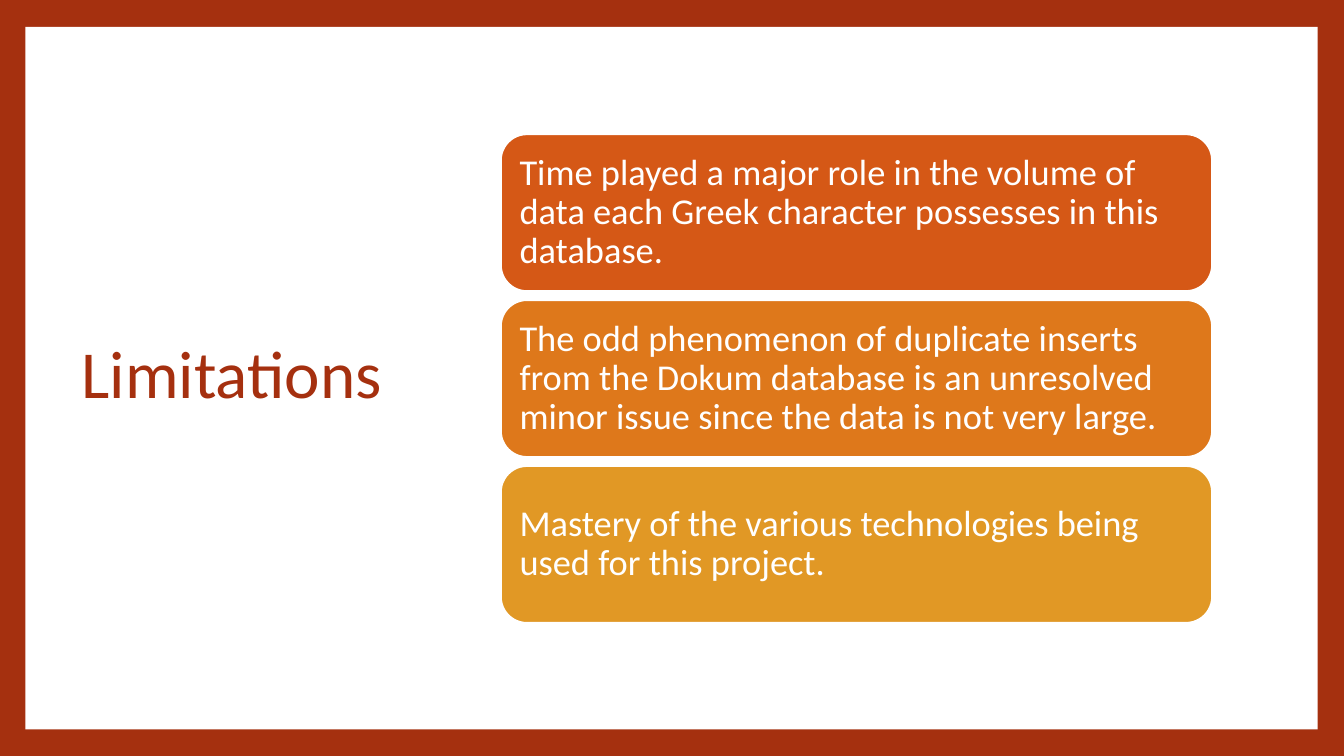
from dataclasses import dataclass

from pptx import Presentation
from pptx.dml.color import RGBColor
from pptx.enum.shapes import MSO_SHAPE
from pptx.enum.text import MSO_ANCHOR, MSO_AUTO_SIZE, PP_ALIGN
from pptx.util import Cm, Pt

RECTANGLE = MSO_SHAPE.RECTANGLE
ROUNDED = MSO_SHAPE.ROUNDED_RECTANGLE
MIDDLE = MSO_ANCHOR.MIDDLE
LEFT = PP_ALIGN.LEFT
NO_FIT = MSO_AUTO_SIZE.NONE
TITLE_ONLY = 5


@dataclass(frozen=True)
class Theme:
    font: str = "Calibri"
    rust: RGBColor = RGBColor.from_string("A5300F")
    white: RGBColor = RGBColor.from_string("FFFFFF")
    cards: tuple = tuple(map(RGBColor.from_string, ("D55816", "DE781B", "E19825")))
    title_size: Pt = Pt(48)
    card_size: Pt = Pt(26)
    card_line: Pt = Pt(1.5)


@dataclass(frozen=True)
class Box:
    left: float
    top: float
    width: float
    height: float

    def lengths(self):
        return Cm(self.left), Cm(self.top), Cm(self.width), Cm(self.height)


THEME = Theme()
LIMITATIONS = (
    "Time played a major role in the volume of data each Greek character "
    "possesses in this database.",
    "The odd phenomenon of duplicate inserts from the Dokum database is an "
    "unresolved minor issue since the data is not very large.",
    "Mastery of the various technologies being used for this project.",
)


def write_text(shape, text, size, color):
    frame = shape.text_frame
    frame.text = text
    frame.word_wrap = True
    frame.auto_size = NO_FIT
    frame.vertical_anchor = MIDDLE
    para = frame.paragraphs[0]
    para.alignment = LEFT
    para.line_spacing = 0.9
    para.font.name = THEME.font
    para.font.size = size
    para.font.color.rgb = color


def add_block(page, preset, box, fill):
    block = page.shapes.add_shape(preset, *box.lengths())
    block.shadow.inherit = False
    block.fill.solid()
    block.fill.fore_color.rgb = fill
    return block


def add_frame(page, box):
    """White panel behind everything, with the background as its border."""
    page.background.fill.solid()
    page.background.fill.fore_color.rgb = THEME.rust
    panel = add_block(page, RECTANGLE, box, THEME.white)
    panel.line.fill.background()
    page.shapes.title.element.addprevious(panel.element)


def add_title(page, box, text):
    title = page.shapes.title
    title.left, title.top, title.width, title.height = box.lengths()
    write_text(title, text, THEME.title_size, THEME.rust)


def add_cards(page, box, texts, gap):
    """Equal rounded cards stacked to fill the box."""
    height = (box.height - gap * (len(texts) - 1)) / len(texts)
    for index, (text, fill) in enumerate(zip(texts, THEME.cards)):
        top = box.top + index * (height + gap)
        card = add_block(page, ROUNDED, Box(box.left, top, box.width, height), fill)
        card.line.color.rgb = THEME.white
        card.line.width = THEME.card_line
        write_text(card, text, THEME.card_size, THEME.white)
        frame = card.text_frame
        frame.margin_left = frame.margin_right = Cm(0.28)
        frame.margin_top = frame.margin_bottom = Cm(0.28)


def main():
    deck = Presentation()
    deck.slide_width, deck.slide_height = Cm(33.87), Cm(19.05)
    page = deck.slides.add_slide(deck.slide_layouts[TITLE_ONLY])
    add_frame(page, Box(0.64, 0.68, 32.57, 17.7))
    add_title(page, Box(1.8, 1.7, 9.35, 15.57), "Limitations")
    add_cards(page, Box(12.62, 3.38, 17.93, 12.32), LIMITATIONS, gap=0.22)
    deck.save("out.pptx")


if __name__ == "__main__":
    main()
